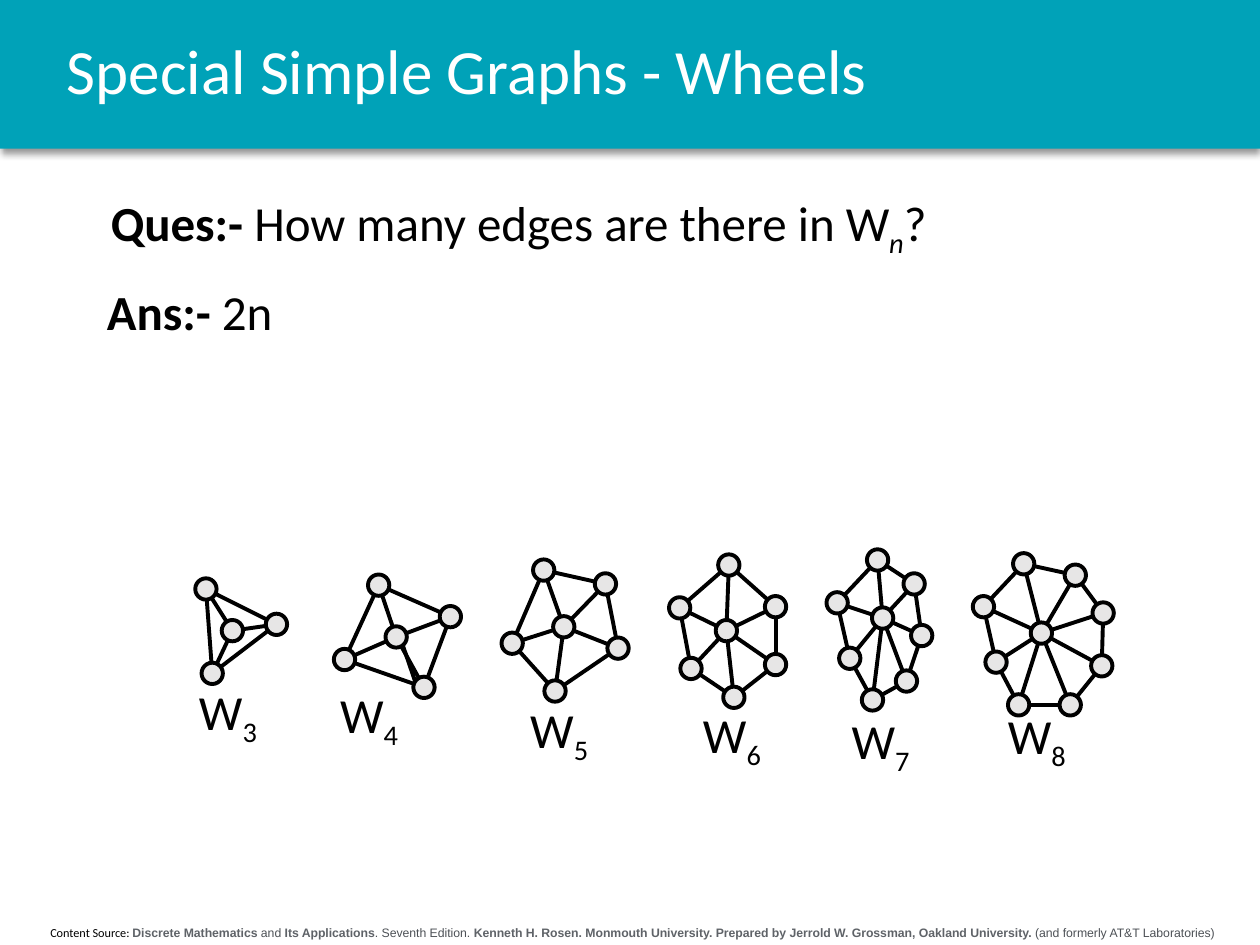
from lxml.etree import SubElement
from pptx import Presentation
from pptx.dml.color import RGBColor
from pptx.enum.shapes import MSO_CONNECTOR, MSO_SHAPE
from pptx.enum.text import MSO_ANCHOR, MSO_AUTO_SIZE, PP_ALIGN
from pptx.oxml.ns import qn
from pptx.util import Pt

TEAL = RGBColor(0x00, 0xA2, 0xB8)
WHITE = RGBColor(0xFF, 0xFF, 0xFF)
BLACK = RGBColor(0x00, 0x00, 0x00)
NODE_GRAY = RGBColor(0xE7, 0xE6, 0xE6)
SOURCE_BOLD = RGBColor(0x5F, 0x63, 0x68)
SOURCE_PLAIN = RGBColor(0x4D, 0x51, 0x56)

# n: (hub, label position, rim nodes in clockwise order), centres in points
WHEELS = {
    3: ((132.8, 360.4), (106.6, 388.1),
        [(117.7, 336.6), (158, 356.8), (121.3, 384.8)]),
    4: ((226.4, 364), (187.2, 389.5),
        [(216.4, 334.4), (257.4, 352.4), (242.3, 392.8), (196.9, 376.9)]),
    5: ((322.2, 358.2), (295.9, 398.2),
        [(310.7, 325.8), (346, 333.7), (353.2, 370.4), (317.2, 394.9),
         (292.7, 367.6)]),
    6: ((415.1, 360.4), (394.6, 401),
        [(416.5, 322.9), (443.2, 346.7), (443.2, 379.8), (419.4, 398.5),
         (394.9, 382), (388.4, 347.4)]),
    7: ((504.4, 353.2), (479.5, 404.6),
        [(501.5, 320), (522.4, 333.7), (526.7, 363.2), (518, 389.2),
         (498.6, 400), (485.6, 376.2), (478.4, 344.5)]),
    8: ((595.1, 361.8), (568.8, 401.8),
        [(585, 322.2), (614.5, 328.7), (630.4, 350.3), (629.6, 380.5),
         (611.6, 402.8), (582.1, 402.8), (569.2, 378.4), (562, 346.7)]),
}
# The four-spoke wheel has one spoke drawn double
SECOND_SPOKE = {4: [((228.2, 362.9), (239, 394.6))]}


def add_text(paragraph, text, size=28, font="Calibri", color=BLACK,
             bold=False, italic=False, subscript=False):
    run = paragraph.add_run()
    run.text = text
    run.font.size = Pt(size)
    run.font.name = font
    run.font.color.rgb = color
    run.font.bold = bold
    run.font.italic = italic
    if subscript:
        run._r.get_or_add_rPr().set("baseline", "-25000")


class GraphSlide:
    stroke = 2.25
    node_size = 12.2

    def __init__(self, presentation):
        self.slide = presentation.slides.add_slide(presentation.slide_layouts[5])

    def band(self, width, height):
        band = self.slide.shapes.add_shape(
            MSO_SHAPE.RECTANGLE, 0, 0, Pt(width), Pt(height))
        band.fill.solid()
        band.fill.fore_color.rgb = TEAL
        band.line.fill.background()
        band.shadow.inherit = False
        effects = band._element.spPr.find(qn("a:effectLst"))
        shadow = SubElement(effects, qn("a:outerShdw"), blurRad=str(Pt(4)),
                            dist=str(Pt(3)), dir="5400000", rotWithShape="0")
        shade = SubElement(shadow, qn("a:srgbClr"), val="000000")
        SubElement(shade, qn("a:alpha"), val="40000")
        # The band lies behind the title
        self.slide.shapes._spTree.insert(2, band._element)

    def title(self, text, left, top, width, height):
        title = self.slide.shapes.title
        title.left, title.top = Pt(left), Pt(top)
        title.width, title.height = Pt(width), Pt(height)
        title.text_frame.vertical_anchor = MSO_ANCHOR.MIDDLE
        title.text_frame.word_wrap = True
        heading = title.text_frame.paragraphs[0]
        heading.alignment = PP_ALIGN.LEFT
        heading.line_spacing = 0.9
        add_text(heading, text, size=36, color=WHITE)

    def text(self, runs, left, top, width, height, parent=None, wrap=False,
             anchor=MSO_ANCHOR.MIDDLE, align=PP_ALIGN.LEFT):
        box = (parent or self.slide).shapes.add_textbox(
            Pt(left), Pt(top), Pt(width), Pt(height))
        frame = box.text_frame
        frame.word_wrap = wrap
        frame.auto_size = MSO_AUTO_SIZE.SHAPE_TO_FIT_TEXT
        frame.vertical_anchor = anchor
        frame.paragraphs[0].alignment = align
        for text, style in runs:
            add_text(frame.paragraphs[0], text, **style)

    def edge(self, wheel, start, end):
        edge = wheel.shapes.add_connector(
            MSO_CONNECTOR.STRAIGHT, *(Pt(value) for value in (*start, *end)))
        edge.line.color.rgb = BLACK
        edge.line.width = Pt(self.stroke)
        SubElement(edge._element.spPr, qn("a:effectLst"))

    def node(self, wheel, center):
        left, top = (Pt(value - self.node_size / 2) for value in center)
        node = wheel.shapes.add_shape(
            MSO_SHAPE.OVAL, left, top, Pt(self.node_size), Pt(self.node_size))
        node.fill.solid()
        node.fill.fore_color.rgb = NODE_GRAY
        node.line.color.rgb = BLACK
        node.line.width = Pt(self.stroke)
        node.shadow.inherit = False

    def wheel(self, n, hub, label, rim):
        wheel = self.slide.shapes.add_group_shape()
        rim_edges = list(zip(rim, rim[1:] + rim[:1]))
        spokes = [(hub, outer) for outer in rim]
        for start, end in rim_edges + spokes + SECOND_SPOKE.get(n, []):
            self.edge(wheel, start, end)
        for center in rim + [hub]:
            self.node(wheel, center)
        self.text([("W", {}), (str(n), {"subscript": True})],
                  *label, 48.5, 41, parent=wheel)


def main():
    presentation = Presentation()
    presentation.slide_width, presentation.slide_height = Pt(720), Pt(540)
    page = GraphSlide(presentation)

    # Heading
    page.band(720, 85)
    page.title("Special Simple Graphs - Wheels", 31, 0, 669.6, 85)

    # Source line
    bold = {"size": 7, "font": "Arial", "color": SOURCE_BOLD, "bold": True}
    plain = {"size": 7, "font": "Arial", "color": SOURCE_PLAIN}
    page.text([
        ("Content Source: ", {"size": 7}),
        ("Discrete Mathematics", bold),
        (" and ", plain),
        ("Its Applications", bold),
        (". Seventh Edition. ", plain),
        ("Kenneth H. Rosen. Monmouth University. Prepared by "
         "Jerrold W. Grossman, Oakland University.", bold),
        (" (and formerly AT&T Laboratories)", plain),
    ], 2.9, 524.9, 717.1, 15.8, wrap=True, anchor=MSO_ANCHOR.TOP,
        align=PP_ALIGN.CENTER)

    # Question and answer
    page.text([
        ("Ques:- ", {"bold": True}),
        ("How many edges are there in W", {}),
        ("n", {"italic": True, "subscript": True}),
        ("?", {}),
    ], 56.2, 108.7, 539.3, 41)
    page.text([("Ans:-", {"bold": True}), (" 2n", {})], 54, 157, 121, 41)

    # Wheel graphs
    for n, (hub, label, rim) in WHEELS.items():
        page.wheel(n, hub, label, rim)

    presentation.save("out.pptx")


if __name__ == "__main__":
    main()
